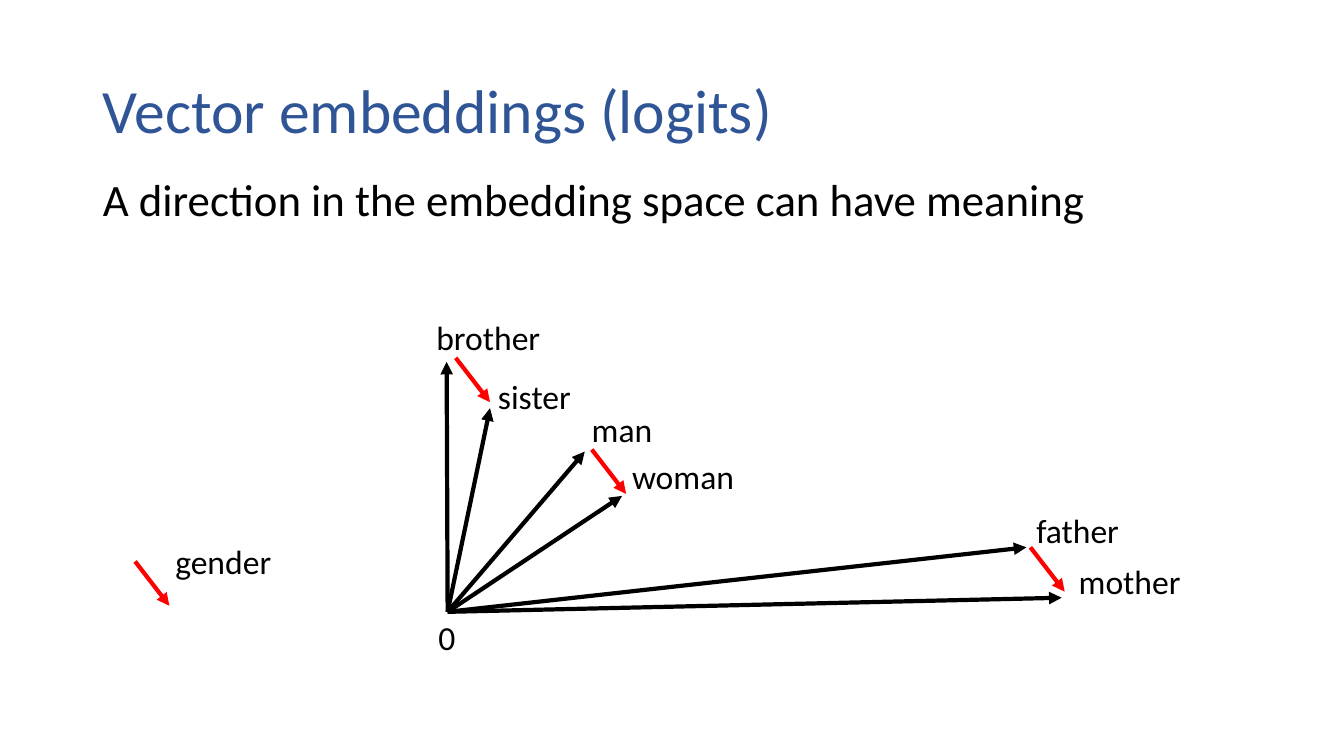
from lxml.etree import SubElement
from pptx import Presentation
from pptx.dml.color import RGBColor
from pptx.enum.shapes import MSO_CONNECTOR
from pptx.enum.text import MSO_ANCHOR, MSO_AUTO_SIZE, PP_ALIGN
from pptx.oxml.ns import qn
from pptx.util import Inches, Pt

BLACK, RED, BLUE = "000000", "FF0000", "2F5597"
GENDER_SHIFT = (0.34, 0.44)

# Word, vector tip, label corner (both from the origin), label width
WORDS = [
    ("man", (1.36, -1.59), (1.33, -2.06), 0.81),
    ("woman", (1.73, -1.15), (1.73, -1.6), 1.22),
    ("father", (5.74, -0.64), (5.74, -1.06), 1.03),
    ("mother", (6.09, -0.14), (6.16, -0.55), 1.22),
    ("brother", (-0.01, -2.48), (-0.21, -2.98), 1.24),
    ("sister", (0.42, -2.02), (0.4, -2.39), 0.93),
]
# Where the gender shift starts beside man, father and brother
SHIFT_STARTS = [(1.43, -1.61), (5.78, -0.64), (0.08, -2.52)]


def set_font(paragraph, size, color):
    paragraph.font.name = "Calibri"
    paragraph.font.size = Pt(size)
    paragraph.font.color.rgb = RGBColor.from_string(color)


def add_arrow(slide, start, shift, color):
    x, y = start
    dx, dy = shift
    arrow = slide.shapes.add_connector(
        MSO_CONNECTOR.STRAIGHT,
        Inches(x), Inches(y), Inches(x + dx), Inches(y + dy))
    arrow.line.color.rgb = RGBColor.from_string(color)
    arrow.line.width = Pt(3)
    SubElement(arrow.line._get_or_add_ln(), qn("a:tailEnd"), type="triangle")
    SubElement(arrow._element.spPr, qn("a:effectLst"))


def add_label(slide, word, left, top, width):
    label = slide.shapes.add_textbox(
        Inches(left), Inches(top), Inches(width), Inches(0.5))
    frame = label.text_frame
    frame.word_wrap = False
    frame.auto_size = MSO_AUTO_SIZE.SHAPE_TO_FIT_TEXT
    frame.text = word
    set_font(frame.paragraphs[0], 24, BLACK)


def fill_placeholder(placeholder, box, text, size, color, anchor):
    placeholder.left, placeholder.top, placeholder.width, placeholder.height = (
        Inches(length) for length in box)
    frame = placeholder.text_frame
    frame.text = text
    frame.vertical_anchor = anchor
    paragraph = frame.paragraphs[0]
    paragraph.alignment = PP_ALIGN.LEFT
    paragraph.line_spacing = 0.9
    set_font(paragraph, size, color)
    return paragraph


def add_heading(slide, left, top, width):
    title, body = slide.placeholders
    fill_placeholder(title, (left, top, width, 1.45),
                     "Vector embeddings (logits)", 44, BLUE, MSO_ANCHOR.MIDDLE)
    statement = fill_placeholder(
        body, (left, top + 1.31, width, 2.14),
        "A direction in the embedding space can have meaning",
        32, BLACK, MSO_ANCHOR.TOP)
    statement.space_before = Pt(10)
    properties = statement._p.get_or_add_pPr()
    properties.set("marL", "0")
    properties.set("indent", "0")
    SubElement(properties, qn("a:buNone"))
    # Bullet settings must precede the default run properties
    properties.append(properties.find(qn("a:defRPr")))


def add_vector_diagram(slide, origin_x, origin_y):
    for word, tip, (dx, dy), width in WORDS:
        add_arrow(slide, (origin_x, origin_y), tip, BLACK)
        add_label(slide, word, origin_x + dx, origin_y + dy, width)
    for dx, dy in SHIFT_STARTS:
        add_arrow(slide, (origin_x + dx, origin_y + dy), GENDER_SHIFT, RED)
    add_label(slide, "0", origin_x - 0.19, origin_y, 0.37)


def add_legend(slide, left, top):
    add_arrow(slide, (left, top + 0.25), GENDER_SHIFT, RED)
    add_label(slide, "gender", left + 0.3, top, 1.17)


def main():
    deck = Presentation()
    deck.slide_width, deck.slide_height = Inches(13.33), Inches(7.5)
    slide = deck.slides.add_slide(deck.slide_layouts[1])
    add_heading(slide, 0.92, 0.4, 11.5)
    add_vector_diagram(slide, 4.44, 6.07)
    add_legend(slide, 1.34, 5.32)
    deck.save("out.pptx")


if __name__ == "__main__":
    main()
